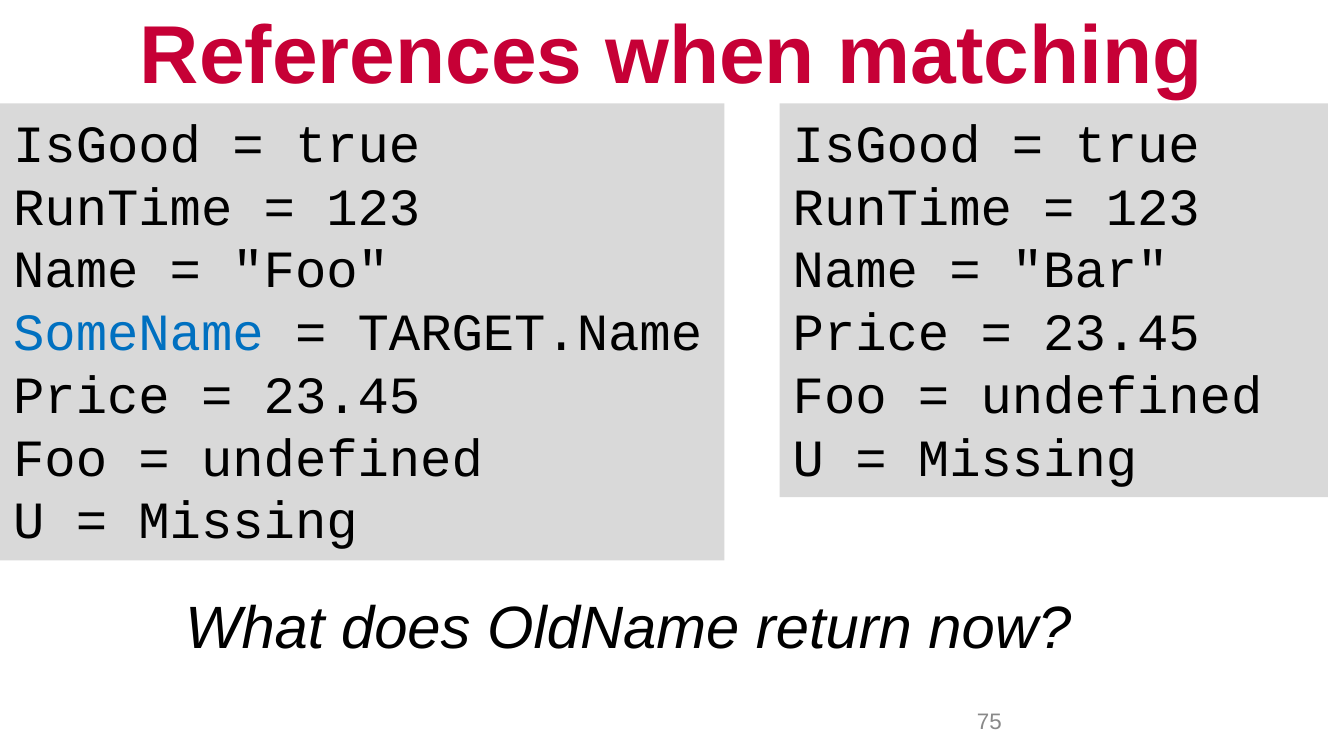
"""Build a slide comparing two attribute lists for a matching question."""
from pptx import Presentation
from pptx import util as u
from pptx.dml import color
from pptx.enum import shapes, text


def rgb(value):
    """Turn a hex string into a colour."""
    return color.RGBColor.from_string(value)


class SlideBuilder:
    """Hold the style and the current slide."""

    STYLES = {
        "title": {"name": "Arial", "size": u.Pt(44), "bold": True, "color": "C60036"},
        "question": {"name": "Arial", "size": u.Pt(32), "italic": True, "color": "000000"},
        "number": {"name": "Arial", "size": u.Pt(12), "color": "898989"},
        "code": {"name": "Courier New", "size": u.Pt(28), "color": "000000"},
    }
    PANEL = "D9D9D9"
    HIGHLIGHT = "0070C0"

    def __init__(self, deck):
        """Add a blank page to the deck."""
        self.page = deck.slides.add_slide(deck.slide_layouts[6])

    def add_span(self, para, words, style, **changes):
        """Add one formatted run to a paragraph."""
        span = para.add_run()
        span.text = words
        for key, value in {**self.STYLES[style], **changes}.items():
            if key == "color":
                span.font.color.rgb = rgb(value)
            else:
                setattr(span.font, key, value)

    def add_text(self, area, words, style, align=text.PP_ALIGN.LEFT,
                 anchor=text.MSO_ANCHOR.TOP):
        """Add a wrapped single-paragraph text box."""
        box = self.page.shapes.add_textbox(*map(u.Inches, area))
        box.text_frame.word_wrap = True
        box.text_frame.vertical_anchor = anchor
        para = box.text_frame.paragraphs[0]
        para.alignment = align
        self.add_span(para, words, style)

    def add_code(self, area, lines, highlight=None):
        """Add a grey code panel, colouring one leading name."""
        box = self.page.shapes.add_shape(
            shapes.MSO_SHAPE.RECTANGLE, *map(u.Inches, area))
        box.shadow.inherit = False
        box.fill.solid()
        box.fill.fore_color.rgb = rgb(self.PANEL)
        box.line.fill.background()
        frame = box.text_frame
        settings = {"word_wrap": True, "vertical_anchor": text.MSO_ANCHOR.TOP,
                    "auto_size": text.MSO_AUTO_SIZE.SHAPE_TO_FIT_TEXT}
        for key, value in settings.items():
            setattr(frame, key, value)
        for index, line in enumerate(lines):
            para = frame.add_paragraph() if index else frame.paragraphs[0]
            para.alignment = text.PP_ALIGN.LEFT
            if highlight and line.startswith(highlight):
                self.add_span(para, highlight, "code", color=self.HIGHLIGHT)
                line = line.removeprefix(highlight)
            self.add_span(para, line, "code")


def main():
    """Create and save the deck."""
    deck = Presentation()
    deck.slide_width, deck.slide_height = u.Inches(10), u.Inches(10 * 9 / 16)
    slide = SlideBuilder(deck)
    middle = text.MSO_ANCHOR.MIDDLE
    slide.add_text((1.28, 4.33, 7.67, 3.04), "What does OldName return now?", "question")
    slide.add_text((0, 0, 10, 0.75), "References when matching", "title",
                   text.PP_ALIGN.CENTER, middle)
    slide.add_text((7.17, 5.21, 2.33, 0.3), "75", "number", anchor=middle)

    start = ["IsGood = true", "RunTime = 123"]
    end = ["Price = 23.45", "Foo = undefined", "U = Missing"]
    slide.add_code((5.8, 0.77, 4.08, 2.93), [*start, 'Name = "Bar"', *end])
    slide.add_code((0, 0.77, 5.39, 3.4),
                   [*start, 'Name = "Foo"', "SomeName = TARGET.Name", *end],
                   highlight="SomeName")
    deck.save("out.pptx")


if __name__ == "__main__":
    main()
